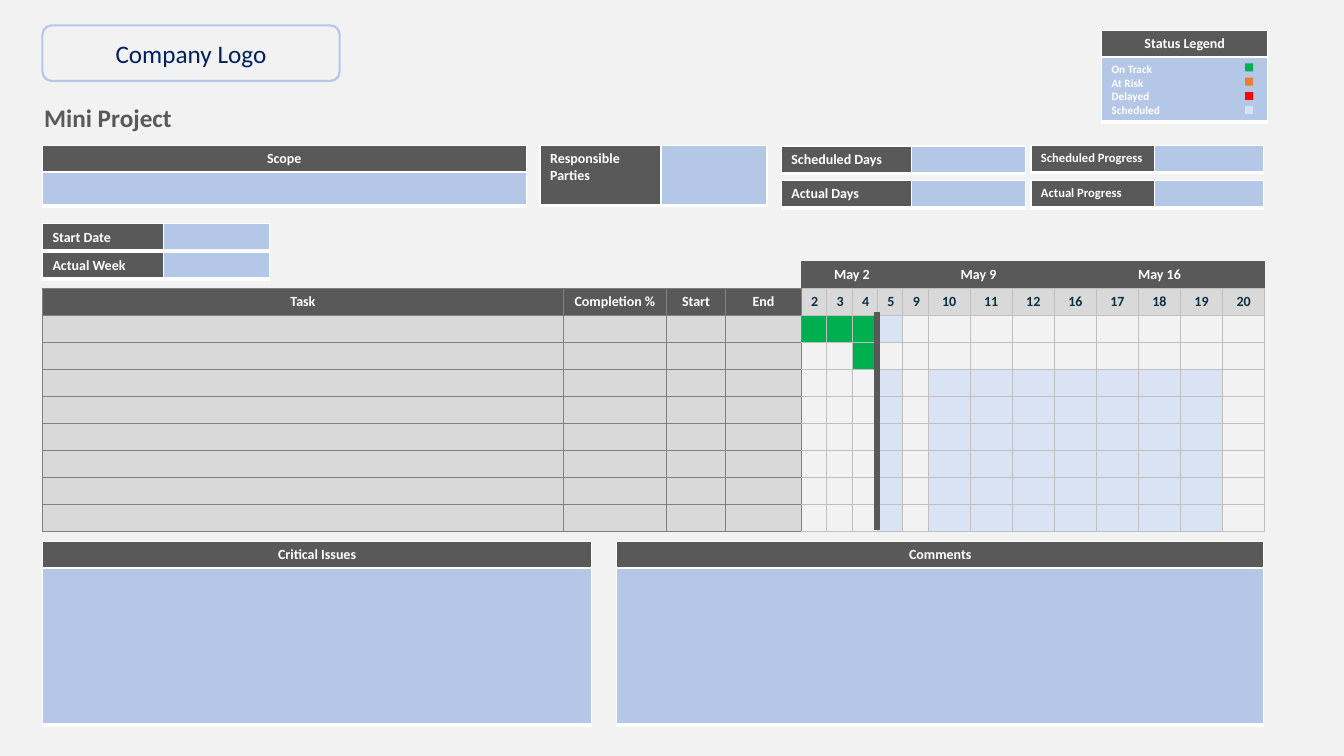
from lxml import etree
from pptx import Presentation
from pptx.dml.color import RGBColor
from pptx.enum.shapes import MSO_CONNECTOR, MSO_SHAPE
from pptx.enum.text import MSO_ANCHOR, PP_ALIGN
from pptx.oxml.ns import qn
from pptx.util import Cm, Pt

LEFT, CENTER = PP_ALIGN.LEFT, PP_ALIGN.CENTER
MIDDLE = MSO_ANCHOR.MIDDLE
RECTANGLE, ROUNDED = MSO_SHAPE.RECTANGLE, MSO_SHAPE.ROUNDED_RECTANGLE
STRAIGHT = MSO_CONNECTOR.STRAIGHT

PAPER = RGBColor(0xF2, 0xF2, 0xF2)
WHITE = RGBColor(0xFF, 0xFF, 0xFF)
DARK = RGBColor(0x59, 0x59, 0x59)
MID_GRAY = RGBColor(0x80, 0x80, 0x80)
SILVER = RGBColor(0xBF, 0xBF, 0xBF)
LIGHT_GRAY = RGBColor(0xD9, 0xD9, 0xD9)
BLUE = RGBColor(0xB4, 0xC7, 0xE7)
PALE_BLUE = RGBColor(0xDA, 0xE3, 0xF3)
NAVY = RGBColor(0x00, 0x20, 0x60)
INK = RGBColor(0x0B, 0x30, 0x41)
GREEN = RGBColor(0x00, 0xB0, 0x50)
ORANGE = RGBColor(0xED, 0x7D, 0x31)
RED = RGBColor(0xFF, 0x00, 0x00)
FONT = "Calibri"

# Content; all lengths in centimetres
TITLE = "Mini Project"
LOGO = "Company Logo"
STATUSES = [("On Track", GREEN), ("At Risk", ORANGE), ("Delayed", RED), ("Scheduled", PALE_BLUE)]
# label, left, top, column widths, height, text size
FIELDS = [
    ("Start Date", 1.07, 5.64, (3.05, 2.67), 0.69, 10),
    ("Actual Week", 1.07, 6.35, (3.05, 2.67), 0.69, 10),
    ("Responsible Parties", 13.61, 3.66, (3.05, 2.67), 1.52, 10),
    ("Scheduled Days", 19.69, 3.68, (3.28, 2.87), 0.69, 10),
    ("Actual Days", 19.69, 4.55, (3.28, 2.87), 0.69, 10),
    ("Scheduled Progress", 25.98, 3.66, (3.12, 2.74), 0.69, 9),
    ("Actual Progress", 25.98, 4.55, (3.12, 2.74), 0.69, 9),
]
# heading, body text, left, top, width, body height
PANELS = [
    ("Critical Issues", "", 1.07, 13.64, 13.84, 3.94),
    ("Comments", "", 15.54, 13.64, 16.31, 3.94),
    ("Scope", "", 1.07, 3.66, 12.19, 0.84),
    ("Status Legend", "\n".join(name for name, _ in STATUSES), 27.76, 0.76, 4.19, 1.6),
]
HEADING_HEIGHT = 0.69
WEEKS = [("May 2", 4), ("May 9", 4), ("May 16", 5)]
TASK_HEADINGS = ["Task", "Completion %", "Start", "End"]
DAYS = ["2", "3", "4", "5", "9", "10", "11", "12", "16", "17", "18", "19", "20"]
GRID_WIDTHS = [13.13, 2.59, 1.5, 1.9] + [0.64] * 5 + [1.06] * 8
# One letter per day: G done, S scheduled, dot free
SCHEDULE = ["GGGS.........", "..G.........."] + ["...S.SSSSSSS."] * 6
DAY_FILLS = {"G": GREEN, "S": PALE_BLUE, ".": None}

# Borders in the order left, right, top, bottom: (colour, points)
BOX_BORDERS = [(WHITE, 1)] * 3 + [(WHITE, 3)]
TASK_BORDERS = [(MID_GRAY, 0.5)] * 4
DAY_BORDERS = [(SILVER, 0.5)] * 4
FIRST_DAY_BORDERS = [(MID_GRAY, 0.5)] + [(SILVER, 0.5)] * 3
BLANK_BORDERS = [None] * 3 + [(MID_GRAY, 0.5)]
WEEK_BORDERS = [None] * 3 + [(SILVER, 0.5)]


def style_paragraph(paragraph, size, color, bold=True, align=LEFT):
    paragraph.alignment = align
    font = paragraph.font
    font.name, font.size, font.bold = FONT, Pt(size), bold
    font.color.rgb = color


def style_cell(cell, text, fill, borders, size=10, color=WHITE, align=CENTER):
    cell.text = text
    cell.margin_bottom = Cm(0.1)
    for paragraph in cell.text_frame.paragraphs:
        style_paragraph(paragraph, size, color, align=align)
        if not text:
            etree.SubElement(paragraph._p, qn("a:endParaRPr"), sz=str(size * 100))
    properties = cell._tc.get_or_add_tcPr()
    for side, border in zip("LRTB", borders):
        line = etree.SubElement(properties, qn(f"a:ln{side}"))
        if border is None:
            etree.SubElement(line, qn("a:noFill"))
            continue
        border_color, points = border
        line.set("w", str(int(Pt(points))))
        solid = etree.SubElement(line, qn("a:solidFill"))
        etree.SubElement(solid, qn("a:srgbClr"), val=str(border_color))
    if fill is None:
        cell.fill.background()
    else:
        cell.fill.solid()
        cell.fill.fore_color.rgb = fill


def add_plain_table(page, left, top, widths, heights):
    frame = page.shapes.add_table(len(heights), len(widths), Cm(left), Cm(top),
                                  Cm(sum(widths)), Cm(sum(heights)))
    table = frame.table
    table.first_row = table.horz_banding = False
    for column, width in zip(table.columns, widths):
        column.width = Cm(width)
    for row, height in zip(table.rows, heights):
        row.height = Cm(height)
    return table


def add_box(page, left, top, width, height, kind, fill):
    box = page.shapes.add_shape(kind, Cm(left), Cm(top), Cm(width), Cm(height))
    box.shadow.inherit = False
    box.fill.solid()
    box.fill.fore_color.rgb = fill
    box.line.fill.background()
    return box


def add_schedule(page):
    table = add_plain_table(page, 1.07, 6.58, GRID_WIDTHS, [0.68] * (len(SCHEDULE) + 2))
    # Week headings
    start = 0
    for week, span in [("", len(TASK_HEADINGS))] + WEEKS:
        for column in range(start, start + span):
            style_cell(table.cell(0, column), week if column == start else "",
                       DARK if week else None, WEEK_BORDERS if week else BLANK_BORDERS)
        table.cell(0, start).merge(table.cell(0, start + span - 1))
        start += span
    # Column headings, then task rows
    rows = [(TASK_HEADINGS, DARK, DAYS, [LIGHT_GRAY] * len(DAYS))]
    for marks in SCHEDULE:
        rows.append(([""] * len(TASK_HEADINGS), LIGHT_GRAY,
                     [""] * len(DAYS), [DAY_FILLS[mark] for mark in marks]))
    for row, (tasks, task_fill, days, day_fills) in enumerate(rows, 1):
        for column, text in enumerate(tasks):
            style_cell(table.cell(row, column), text, task_fill, TASK_BORDERS)
        for index, (text, fill) in enumerate(zip(days, day_fills)):
            style_cell(table.cell(row, len(tasks) + index), text, fill,
                       DAY_BORDERS if index else FIRST_DAY_BORDERS, color=INK)


def main():
    deck = Presentation()
    deck.slide_width, deck.slide_height = Cm(33.87), Cm(19.05)
    page = deck.slides.add_slide(deck.slide_layouts[5])
    page.background.fill.solid()
    page.background.fill.fore_color.rgb = PAPER

    # Title
    title = page.shapes.title
    title.left, title.top, title.width, title.height = Cm(0.86), Cm(2.46), Cm(11.43), Cm(1.02)
    title.text_frame.text = TITLE
    title.text_frame.vertical_anchor = MIDDLE
    style_paragraph(title.text_frame.paragraphs[0], 18, DARK)

    add_schedule(page)

    # Label and value fields
    for label, left, top, widths, height, size in FIELDS:
        table = add_plain_table(page, left, top, widths, [height])
        style_cell(table.cell(0, 0), label, DARK, BOX_BORDERS, size, align=LEFT)
        style_cell(table.cell(0, 1), "", BLUE, BOX_BORDERS, size)

    # Panels with a heading above a body
    for heading, body, left, top, width, height in PANELS:
        table = add_plain_table(page, left, top, [width], [HEADING_HEIGHT])
        style_cell(table.cell(0, 0), heading, DARK, BOX_BORDERS)
        table = add_plain_table(page, left, top + HEADING_HEIGHT, [width], [height])
        style_cell(table.cell(0, 0), body, BLUE, BOX_BORDERS, 8, align=LEFT)

    # Legend markers
    for index, (_, color) in enumerate(STATUSES):
        add_box(page, 31.38, 1.6 + 0.36 * index, 0.2, 0.2, RECTANGLE, color)

    # Current day line
    today = page.shapes.add_connector(STRAIGHT, Cm(22.1), Cm(7.85), Cm(22.1), Cm(13.36))
    today.line.color.rgb = DARK
    today.line.width = Pt(4.5)
    etree.SubElement(today._element.spPr, qn("a:effectLst"))

    # Logo box
    logo = add_box(page, 1.07, 0.64, 7.49, 1.4, ROUNDED, PAPER)
    logo.line.color.rgb = BLUE
    logo.line.width = Pt(1.5)
    logo.text_frame.text = LOGO
    logo.text_frame.vertical_anchor = MIDDLE
    style_paragraph(logo.text_frame.paragraphs[0], 18, NAVY, bold=False, align=CENTER)

    deck.save("out.pptx")


if __name__ == "__main__":
    main()
